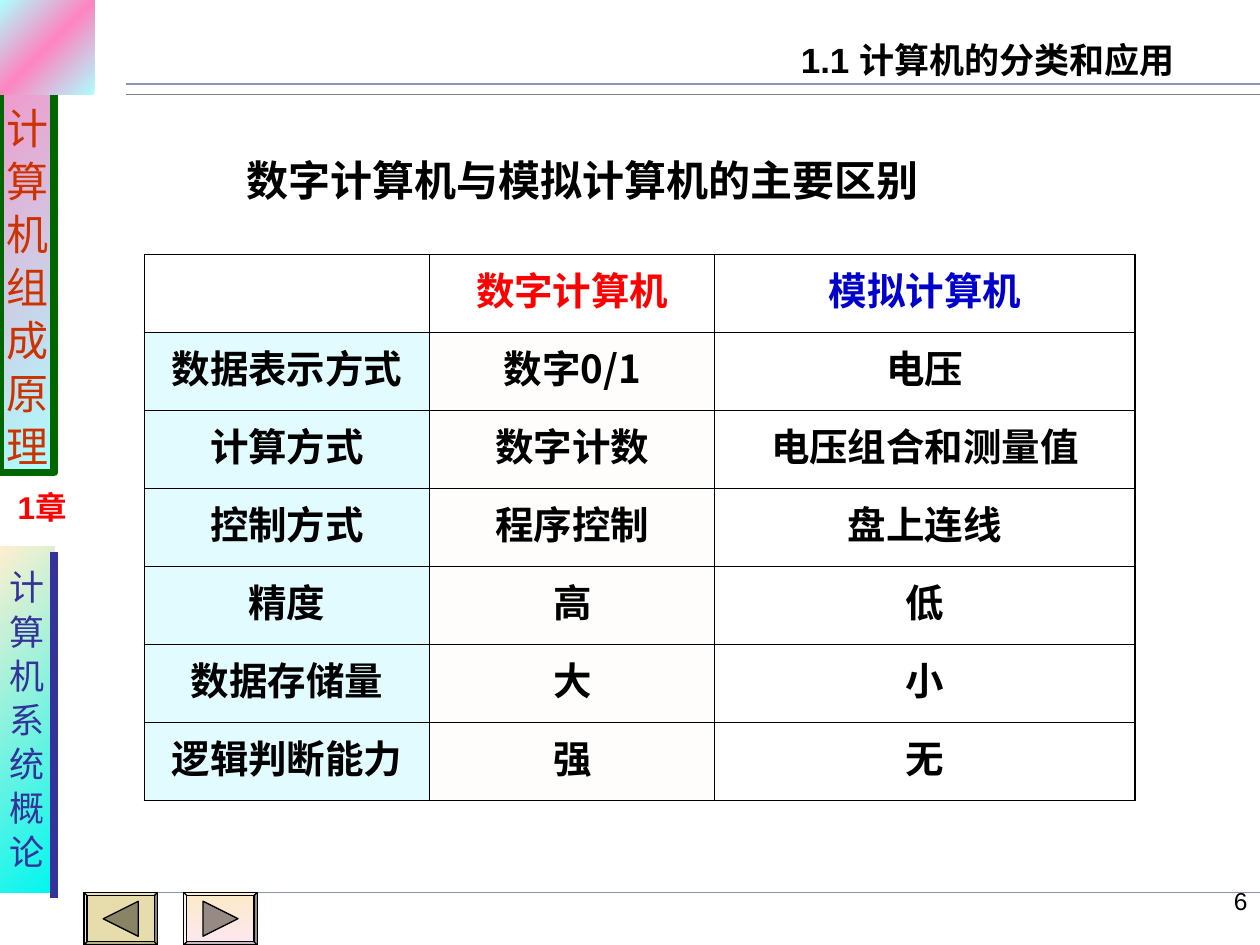
from dataclasses import dataclass

from lxml.etree import SubElement
from pptx import Presentation
from pptx.dml.color import RGBColor
from pptx.enum.shapes import MSO_CONNECTOR, MSO_SHAPE
from pptx.enum.text import MSO_ANCHOR, PP_ALIGN
from pptx.oxml.ns import qn
from pptx.util import Pt


@dataclass(frozen=True)
class Theme:
    latin: str = "Arial"
    chinese: str = "Noto Sans CJK SC"
    black: str = "000000"
    red: str = "FF0000"
    blue: str = "0000CC"
    navy: str = "333399"
    rust: str = "CC3300"
    green: str = "006600"
    rule: str = "8799AE"
    gray: str = "808080"
    pink: str = "FD85C1"
    aqua: str = "ADFFFF"
    cream: str = "FFEFCF"
    cyan: str = "00F6F0"
    label_fill: str = "E2FBFE"
    digital_fill: str = "FEFDFC"
    title_size: int = 24
    table_size: int = 22
    body_size: int = 20
    chapter_size: int = 18
    number_size: int = 14


THEME = Theme()
ROWS = [
    ["", "数字计算机", "模拟计算机"],
    ["数据表示方式", "数字0/1", "电压"],
    ["计算方式", "数字计数", "电压组合和测量值"],
    ["控制方式", "程序控制", "盘上连线"],
    ["精度", "高", "低"],
    ["数据存储量", "大", "小"],
    ["逻辑判断能力", "强", "无"],
]


def set_attributes(target, values):
    for name, value in values.items():
        setattr(target, name, value)


def write_paragraph(paragraph, text, size, color, bold=False, latin=THEME.latin, **layout):
    set_attributes(paragraph, layout)
    run = paragraph.add_run()
    run.text = text
    set_attributes(run.font, {"size": Pt(size), "bold": bold, "name": latin})
    run.font.color.rgb = RGBColor.from_string(color)
    SubElement(run.font._element, qn("a:ea"), typeface=THEME.chinese)


def add_text(slide, box, text, size, color, bold=False, align=PP_ALIGN.LEFT, **frame_format):
    frame = slide.shapes.add_textbox(*map(Pt, box)).text_frame
    set_attributes(frame, {"word_wrap": True, **frame_format})
    write_paragraph(frame.paragraphs[0], text, size, color, bold, alignment=align)


def add_line(slide, start, end, color, width=0.75):
    line = slide.shapes.add_connector(MSO_CONNECTOR.STRAIGHT, *map(Pt, (*start, *end)))
    line.line.color.rgb = RGBColor.from_string(color)
    line.line.width = Pt(width)
    SubElement(line._element.spPr, qn("a:effectLst"))


def fill_shape(shape, colors, angle):
    """Fill with one colour, or with a gradient of evenly spaced colours."""
    if len(colors) == 1:
        shape.fill.solid()
        shape.fill.fore_color.rgb = RGBColor.from_string(colors[0])
        return
    shape.fill.gradient()
    gradient = shape._element.spPr.find(qn("a:gradFill"))
    for child in list(gradient):
        gradient.remove(child)
    stops = SubElement(gradient, qn("a:gsLst"))
    for index, color in enumerate(colors):
        position = 100000 * index // (len(colors) - 1)
        stop = SubElement(stops, qn("a:gs"), pos=str(position))
        SubElement(stop, qn("a:srgbClr"), val=color)
    SubElement(gradient, qn("a:lin"), ang=str(angle * 60000), scaled="0")


def add_filled(slide, kind, box, colors, line=None, width=0.75, angle=45):
    shape = slide.shapes.add_shape(kind, *map(Pt, box))
    shape.shadow.inherit = False
    fill_shape(shape, colors, angle)
    if line:
        shape.line.color.rgb = RGBColor.from_string(line)
        shape.line.width = Pt(width)
    else:
        shape.line.fill.background()
    return shape


def add_vertical_strip(slide, box, text, size, color, colors, gap, top_inset=0, **border):
    """A gradient strip with one character per line."""
    frame = add_filled(slide, MSO_SHAPE.RECTANGLE, box, colors, **border).text_frame
    set_attributes(frame, {
        "word_wrap": False, "vertical_anchor": MSO_ANCHOR.MIDDLE, "margin_left": 0,
        "margin_right": 0, "margin_top": Pt(top_inset), "margin_bottom": 0,
    })
    for index, character in enumerate(text):
        paragraph = frame.add_paragraph() if index else frame.paragraphs[0]
        write_paragraph(paragraph, character, size, color, alignment=PP_ALIGN.CENTER,
                        line_spacing=Pt(size * 1.2), space_before=Pt(gap if index else 0))


def add_sidebar(slide, box):
    left, top, width, height = box
    strip_width = 31
    add_vertical_strip(slide, (left, top, strip_width, 270), "计算机组成原理", THEME.title_size,
                       THEME.rust, [THEME.pink, THEME.aqua], 1.5, top_inset=58,
                       line=THEME.green, width=4.5)
    add_vertical_strip(slide, (left, top + 312, strip_width, 198), "计算机系统概论",
                       THEME.body_size, THEME.navy, [THEME.cream, THEME.cyan], 1.2)
    add_filled(slide, MSO_SHAPE.RECTANGLE, (left, top, width, width),
               [THEME.aqua, THEME.pink, THEME.aqua])
    add_text(slide, (left, top + 278, 48, 29), "1章", THEME.chapter_size, THEME.red, True,
             PP_ALIGN.CENTER, margin_top=Pt(1))
    add_line(slide, (left + strip_width, top + 315.5), (left + strip_width, top + height),
             THEME.navy, 4.5)


def add_header(slide, box):
    left, top, width, height = box
    for offset, color in ((0, THEME.rule), (6, THEME.gray)):
        y = top + height + offset
        add_line(slide, (left, y), (left + width, y), color)
    add_text(slide, (left + 378.5, top, 239, height), "1.1 计算机的分类和应用",
             THEME.body_size, THEME.black, True, vertical_anchor=MSO_ANCHOR.MIDDLE)


def add_footer(slide, box):
    left, top, width, height = box
    add_line(slide, (left, top), (left + width, top), THEME.rule)
    # Previous and next buttons
    buttons = (
        (0, ["E6DCAC"], "8A8467", 270),
        (57, ["FBEAC7", "FEE7F2"], "978A85", 90),
    )
    for offset, colors, arrow_color, rotation in buttons:
        x = left + offset
        button = add_filled(slide, MSO_SHAPE.BEVEL, (x, top, 42, height), colors,
                            THEME.black, angle=90)
        button.adjustments[0] = 0.06
        arrow = add_filled(slide, MSO_SHAPE.ISOSCELES_TRIANGLE, (x + 11, top + 5, 20, 20),
                           [arrow_color], THEME.black)
        arrow.rotation = rotation
    add_text(slide, (left + width - 72, top - 7.5, 72, 37.5), "6", THEME.number_size,
             THEME.black, align=PP_ALIGN.RIGHT)


def set_borders(cell, outer_edges):
    """Thick lines on the outer edges, thin ones inside."""
    properties = cell._tc.get_or_add_tcPr()
    for index, (edge, is_outer) in enumerate(outer_edges.items()):
        line = properties.makeelement(qn(f"a:{edge}"), {"w": str(Pt(1.08 if is_outer else 0.45))})
        color_fill = SubElement(line, qn("a:solidFill"))
        SubElement(color_fill, qn("a:srgbClr"), val=THEME.black)
        properties.insert(index, line)


def add_comparison(slide, box):
    left, top, width, height = box
    add_text(slide, (left + 51, top - 57, 425, 36), "数字计算机与模拟计算机的主要区别",
             THEME.title_size, THEME.black, True, margin_top=0)
    last_row, last_column = len(ROWS) - 1, len(ROWS[0]) - 1
    table = slide.shapes.add_table(len(ROWS), len(ROWS[0]), *map(Pt, box)).table
    set_attributes(table, {"first_row": False, "horz_banding": False})
    for column, column_width in zip(table.columns, (163, 163, width - 326)):
        column.width = Pt(column_width)
    for row in table.rows:
        row.height = Pt(height / len(ROWS))
    header_colors = (THEME.black, THEME.red, THEME.blue)
    column_fills = (THEME.label_fill, THEME.digital_fill, None)
    for r, texts in enumerate(ROWS):
        for c, text in enumerate(texts):
            cell = table.cell(r, c)
            if r and column_fills[c]:
                cell.fill.solid()
                cell.fill.fore_color.rgb = RGBColor.from_string(column_fills[c])
            else:
                cell.fill.background()
            set_borders(cell, {"lnL": c == 0, "lnR": c == last_column,
                               "lnT": r == 0, "lnB": r == last_row})
            if text:
                write_paragraph(cell.text_frame.paragraphs[0], text, THEME.table_size,
                                THEME.black if r else header_colors[c], True,
                                THEME.chinese, alignment=PP_ALIGN.CENTER)


def main():
    presentation = Presentation()
    set_attributes(presentation, {"slide_width": Pt(720), "slide_height": Pt(540)})
    slide = presentation.slides.add_slide(presentation.slide_layouts[6])
    add_sidebar(slide, (0, 0, 54, 513))
    add_footer(slide, (48, 510, 672, 30))
    add_comparison(slide, (82.5, 145.5, 566, 312))
    add_header(slide, (72, 20, 648, 28))
    presentation.save("out.pptx")


if __name__ == "__main__":
    main()
